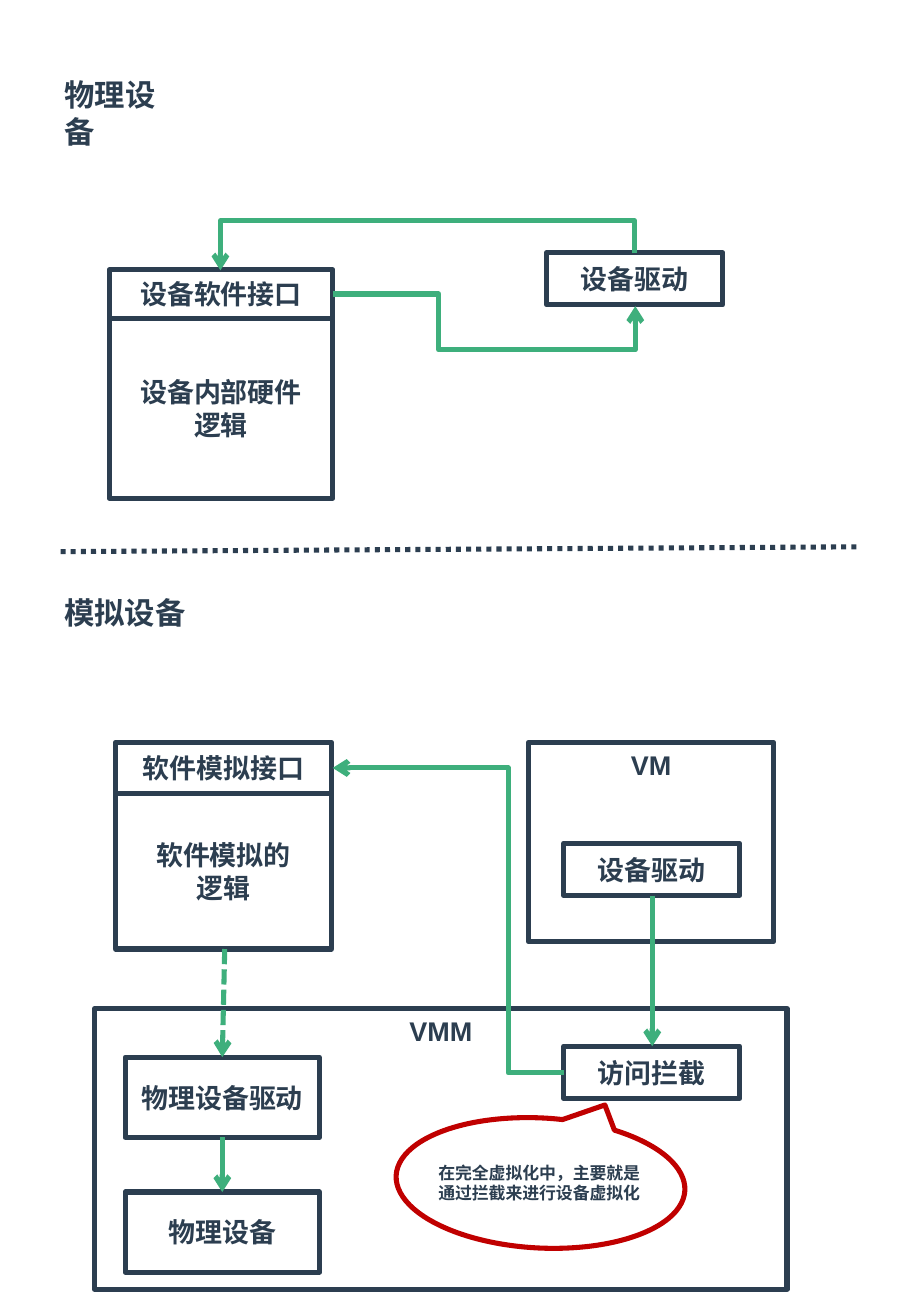
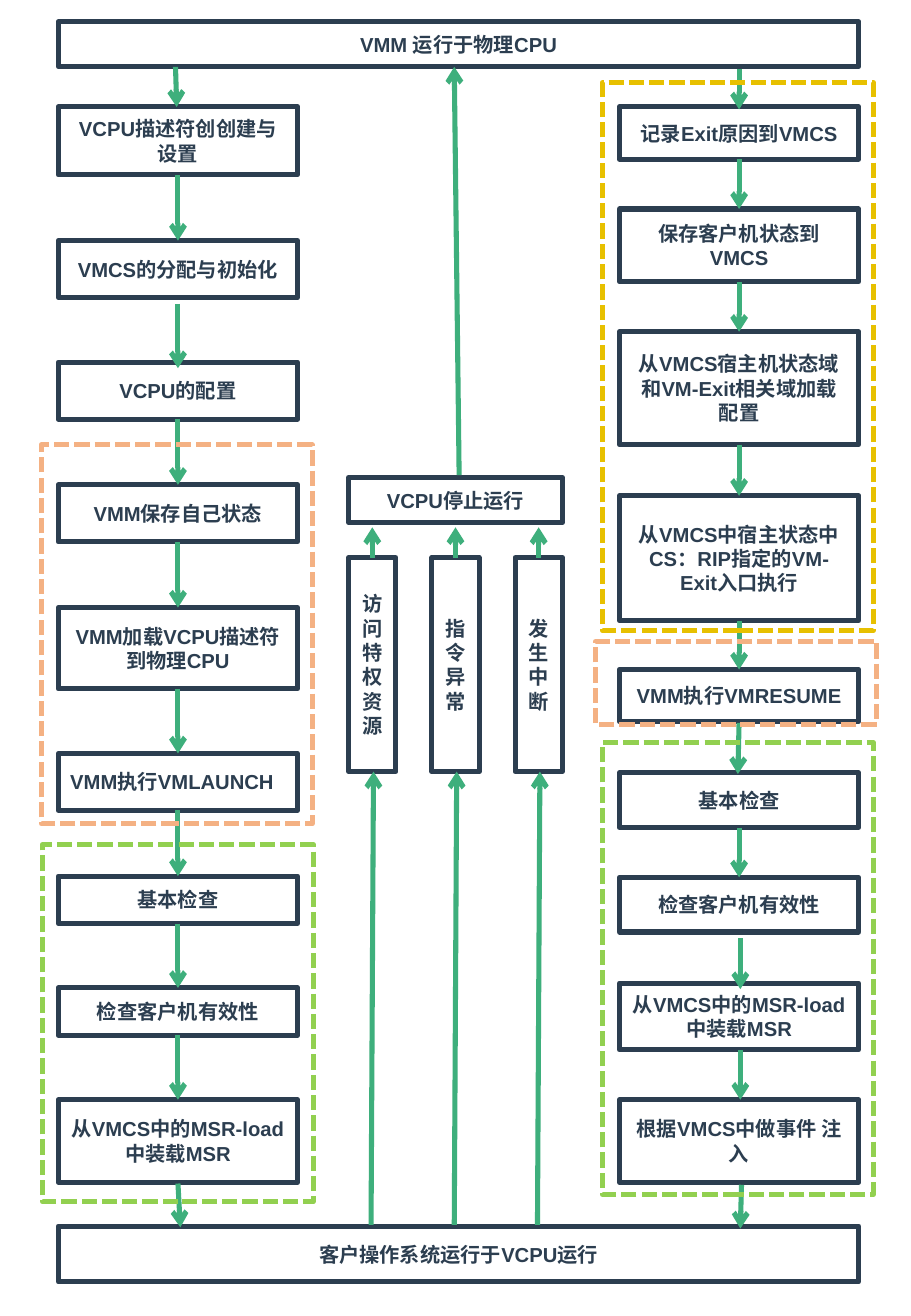
from itertools import pairwise

from lxml import etree
from pptx import Presentation
from pptx.dml.color import RGBColor
from pptx.enum import dml, shapes, text
from pptx.oxml.ns import qn
from pptx.util import Inches, Pt

NAVY = RGBColor(0x2C, 0x3E, 0x50)
GREEN = RGBColor(0x3E, 0xAF, 0x7C)
RED = RGBColor(0xC0, 0x00, 0x00)
LIME = RGBColor(0x92, 0xD0, 0x50)
PEACH = RGBColor(0xF4, 0xB1, 0x83)
GOLD = RGBColor(0xE7, 0xC0, 0x00)

FONT = "Arial"
LINE_WIDTH = Pt(3)
DASHED = dml.MSO_LINE.SQUARE_DOT
DOTTED = dml.MSO_LINE.ROUND_DOT
CENTER, LEFT = text.PP_ALIGN.CENTER, text.PP_ALIGN.LEFT
TOP, MIDDLE = text.MSO_ANCHOR.TOP, text.MSO_ANCHOR.MIDDLE

# Slide 1: boxes as (left, top, width, height), label
HEADINGS = [("物理设备", 0.58), ("模拟设备", 4.84)]
DEVICE_BOXES = [
    ((0.9, 2.22, 1.84, 0.4), "设备软件接口"),
    ((0.9, 2.62, 1.84, 1.48), "设备内部硬件\n逻辑"),
    ((4.5, 2.08, 1.45, 0.43), "设备驱动"),
    ((0.95, 6.11, 1.78, 0.42), "软件模拟接口"),
    ((0.95, 6.53, 1.78, 1.28), "软件模拟的\n逻辑"),
    ((4.64, 6.94, 1.45, 0.43), "设备驱动"),
    ((4.64, 8.61, 1.45, 0.43), "访问拦截"),
    ((1.03, 8.7, 1.6, 0.66), "物理设备驱动"),
    ((1.03, 9.81, 1.6, 0.66), "物理设备"),
]
CONTAINERS = [((0.78, 8.3, 5.7, 2.31), "VMM"), ((4.35, 6.11, 2.02, 1.64), "VM")]
DEVICE_ARROWS = [
    ((1.85, 7.81), (1.83, 8.7), DASHED),
    ((1.83, 9.36), (1.83, 9.81), None),
    ((5.37, 7.37), (5.37, 8.61), None),
]
# begin, end, preset, bend positions as shares, rotation
ELBOWS = [
    ((3.59, 3.86), (3.45, 0.45), "bentConnector3", [-1.92], 270),
    ((2.74, 2.42), (5.23, 2.52), "bentConnector4", [0.35, 4.59], 0),
    ((4.64, 8.83), (2.74, 6.32), "bentConnector3", [0.24], 0),
]
CALLOUT_TEXT = "在完全虚拟化中，主要就是\n通过拦截来进行设备虚拟化"

# Slide 2: columns of (top, height, label)
COLUMN_WIDTH = 1.97
LEFT_X, RIGHT_X = 0.48, 5.1
BAND_WIDTH = RIGHT_X + COLUMN_WIDTH - LEFT_X
HOST_BAND = (0.18, 0.37, "VMM 运行于物理CPU")
GUEST_BAND = (10.09, 0.46, "客户操作系统运行于VCPU运行")
LAUNCH_STEPS = [
    (0.88, 0.56, "VCPU描述符创创建与设置"),
    (1.98, 0.47, "VMCS的分配与初始化"),
    (2.98, 0.47, "VCPU的配置"),
    (3.99, 0.47, "VMM保存自己状态"),
    (5, 0.67, "VMM加载VCPU描述符到物理CPU"),
    (6.2, 0.47, "VMM执行VMLAUNCH"),
    (7.21, 0.39, "基本检查"),
    (8.13, 0.39, "检查客户机有效性"),
    (9.05, 0.68, "从VMCS中的MSR-load中装载MSR"),
]
EXIT_STEPS = [
    (0.88, 0.43, "记录Exit原因到VMCS"),
    (1.72, 0.6, "保存客户机状态到VMCS"),
    (2.73, 0.93, "从VMCS宿主机状态域和VM-Exit相关域加载配置"),
    (4.08, 1.03, "从VMCS中宿主状态中CS：RIP指定的VM-Exit入口执行"),
    (5.51, 0.43, "VMM执行VMRESUME"),
    (6.36, 0.45, "基本检查"),
    (7.22, 0.45, "检查客户机有效性"),
    (8.09, 0.55, "从VMCS中的MSR-load中装载MSR"),
    (9.05, 0.68, "根据VMCS中做事件 注入"),
]
LEFT_ALIGNED = "VMM执行VMLAUNCH"
# step that an arrow leaves: (shift of begin x, shift of end x, shift down)
LAUNCH_SHIFTS = {0: (-0.02, -0.01, 0), 2: (0, 0, 0.05), 9: (0, 0.02, 0.01)}
EXIT_SHIFTS = {0: (0, 0, 0.02), 5: (0, -0.01, 0.01), 7: (0.01, 0.01, 0.05),
               8: (0.01, 0.01, 0), 9: (0.02, 0.01, 0.02)}
STOP_BOX = (2.87, 3.93, 1.76, 0.37)
CAUSES = ["访问特权资源", "指令异常", "发生中断"]
CAUSE_TOP, CAUSE_WIDTH, CAUSE_HEIGHT = 4.59, 0.39, 1.76
FRAMES = [
    ((0.35, 6.95, 2.23, 2.94), LIME),
    ((0.34, 3.66, 2.23, 3.12), PEACH),
    ((4.96, 6.11, 2.23, 3.72), LIME),
    ((4.96, 0.68, 2.23, 4.51), GOLD),
    ((4.9, 5.28, 2.32, 0.68), PEACH),
]


def write(shape, label, size, align=CENTER, anchor=MIDDLE, wrap=True):
    frame = shape.text_frame
    frame.text = label
    frame.word_wrap = wrap
    frame.vertical_anchor = anchor
    for paragraph in frame.paragraphs:
        paragraph.alignment = align
        font = paragraph.font
        font.name, font.size, font.bold = FONT, Pt(size), True
        font.color.rgb = NAVY


def style_line(line, color, dash=None):
    line.color.rgb = color
    line.width = LINE_WIDTH
    if dash is not None:
        line.dash_style = dash


def add_outline(slide, box, color=NAVY, dash=None, preset=shapes.MSO_SHAPE.RECTANGLE):
    shape = slide.shapes.add_shape(preset, *map(Inches, box))
    shape.shadow.inherit = False
    shape.fill.background()
    style_line(shape.line, color, dash)
    return shape


def add_box(slide, box, label, size, **layout):
    write(add_outline(slide, box), label, size, **layout)


def add_line(slide, begin, end, color=GREEN, dash=None, arrow=True,
             kind=shapes.MSO_CONNECTOR.STRAIGHT):
    connector = slide.shapes.add_connector(kind, *map(Inches, (*begin, *end)))
    style_line(connector.line, color, dash)
    properties = connector.element.spPr
    if arrow:
        etree.SubElement(properties.find(qn("a:ln")), qn("a:tailEnd"), type="arrow")
    etree.SubElement(properties, qn("a:effectLst"))
    return connector


def add_elbow(slide, begin, end, preset, bends, rotation):
    connector = add_line(slide, begin, end, kind=shapes.MSO_CONNECTOR.ELBOW)
    properties = connector.element.spPr
    if rotation:
        properties.find(qn("a:xfrm")).set("rot", str(rotation * 60000))
    geometry = properties.find(qn("a:prstGeom"))
    geometry.set("prst", preset)
    for old in geometry.findall(qn("a:avLst")):
        geometry.remove(old)
    guides = etree.SubElement(geometry, qn("a:avLst"))
    for number, bend in enumerate(bends, 1):
        etree.SubElement(guides, qn("a:gd"), name=f"adj{number}",
                         fmla=f"val {round(bend * 100000)}")


def add_text(slide, box, label, size):
    shape = slide.shapes.add_textbox(*map(Inches, box))
    write(shape, label, size, align=LEFT, anchor=TOP, wrap=False)


def build_devices(presentation):
    slide = presentation.slides.add_slide(presentation.slide_layouts[5])
    (first, first_top), (second, second_top) = HEADINGS
    title = slide.shapes.title
    title.left, title.top, title.width, title.height = map(
        Inches, (0.43, first_top, 1.2, 0.4))
    write(title, first, 18, align=LEFT, anchor=TOP, wrap=False)
    title.text_frame.auto_size = text.MSO_AUTO_SIZE.NONE
    add_text(slide, (0.43, second_top, 1.2, 0.4), second, 18)

    add_line(slide, (7.05, 4.5), (0.49, 4.54), NAVY, DOTTED, arrow=False)
    for box, label in DEVICE_BOXES:
        add_box(slide, box, label, 16)
    for box, label in CONTAINERS:
        add_box(slide, box, label, 16, anchor=TOP)
    for begin, end, dash in DEVICE_ARROWS:
        add_line(slide, begin, end, dash=dash)
    for elbow in ELBOWS:
        add_elbow(slide, *elbow)

    callout = add_outline(slide, (3.26, 9.2, 2.38, 1.07), RED,
                          preset=shapes.MSO_SHAPE.OVAL_CALLOUT)
    callout.rotation = 183
    add_text(slide, (3.51, 9.52, 1.88, 0.44), CALLOUT_TEXT, 10)


def add_column(slide, left, steps, shifts):
    for top, height, label in steps:
        add_box(slide, (left, top, COLUMN_WIDTH, height), label, 12,
                align=LEFT if label == LEFT_ALIGNED else CENTER)
    center = left + COLUMN_WIDTH / 2
    chain = [HOST_BAND, *steps, GUEST_BAND]
    for index, ((top, height, _), (next_top, _, _)) in enumerate(pairwise(chain)):
        begin_shift, end_shift, down = shifts.get(index, (0, 0, 0))
        add_line(slide, (center + begin_shift, top + height + down),
                 (center + end_shift, next_top + down))


def build_cpu_cycle(presentation):
    slide = presentation.slides.add_slide(presentation.slide_layouts[6])
    for top, height, label in (HOST_BAND, GUEST_BAND):
        add_box(slide, (LEFT_X, top, BAND_WIDTH, height), label, 12)
    add_column(slide, LEFT_X, LAUNCH_STEPS, LAUNCH_SHIFTS)
    add_column(slide, RIGHT_X, EXIT_STEPS, EXIT_SHIFTS)

    add_box(slide, STOP_BOX, "VCPU停止运行", 12)
    stop_left, stop_top, stop_width, _ = STOP_BOX
    pitch = (stop_width - CAUSE_WIDTH) / (len(CAUSES) - 1)
    for index, cause in enumerate(CAUSES):
        left = stop_left + index * pitch
        center = left + CAUSE_WIDTH / 2
        add_box(slide, (left, CAUSE_TOP, CAUSE_WIDTH, CAUSE_HEIGHT), cause, 12)
        add_line(slide, (center - 0.01, 10.08), (center + 0.01, CAUSE_TOP + CAUSE_HEIGHT))
        add_line(slide, (center, CAUSE_TOP), (center, 4.34))
    add_line(slide, (3.78, stop_top - 0.02), (3.74, 0.55))
    for box, color in FRAMES:
        add_outline(slide, box, color, DASHED)


def main():
    presentation = Presentation()
    presentation.slide_width = Inches(7.5)
    presentation.slide_height = Inches(10.83)
    build_devices(presentation)
    build_cpu_cycle(presentation)
    presentation.save("out.pptx")


if __name__ == "__main__":
    main()
